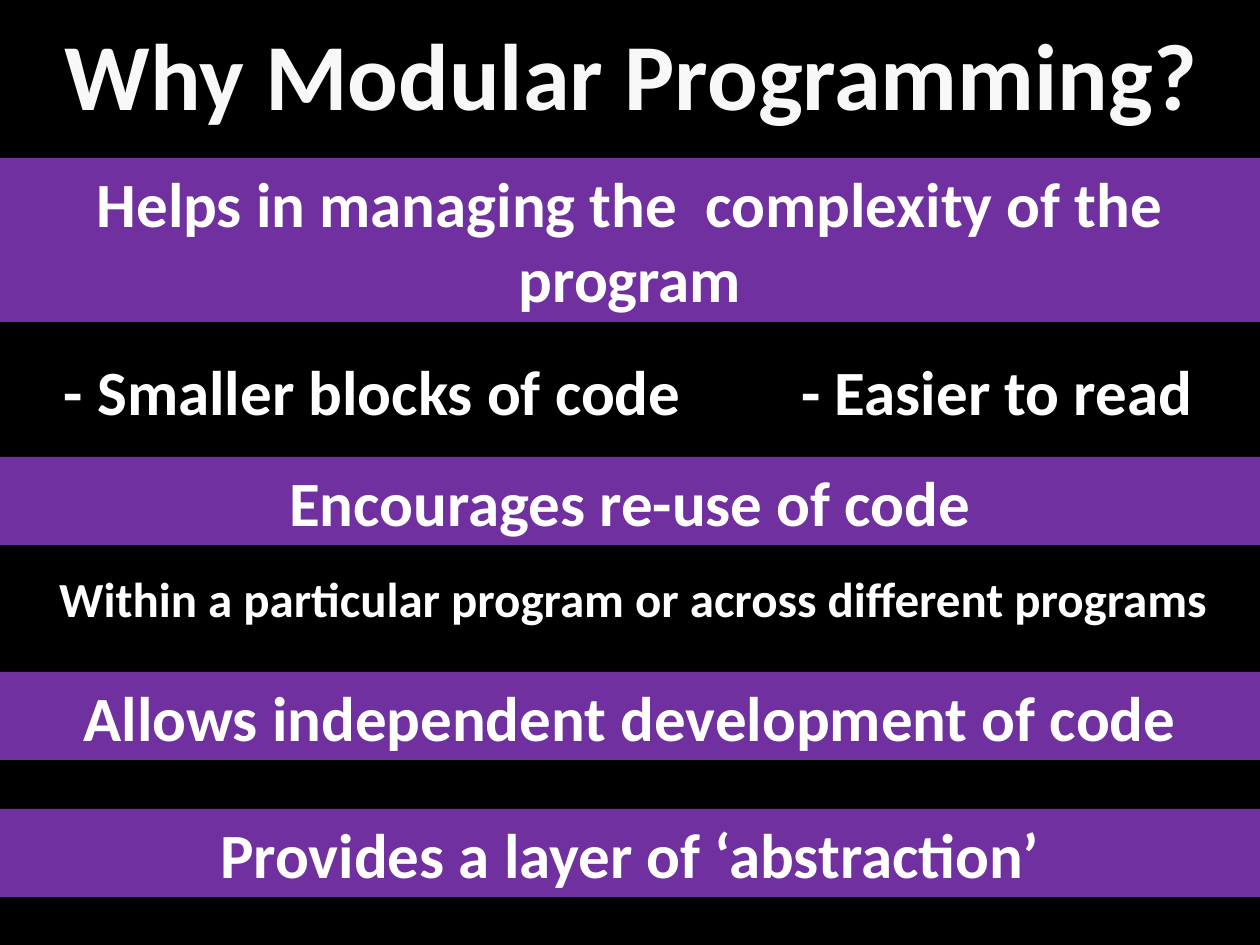
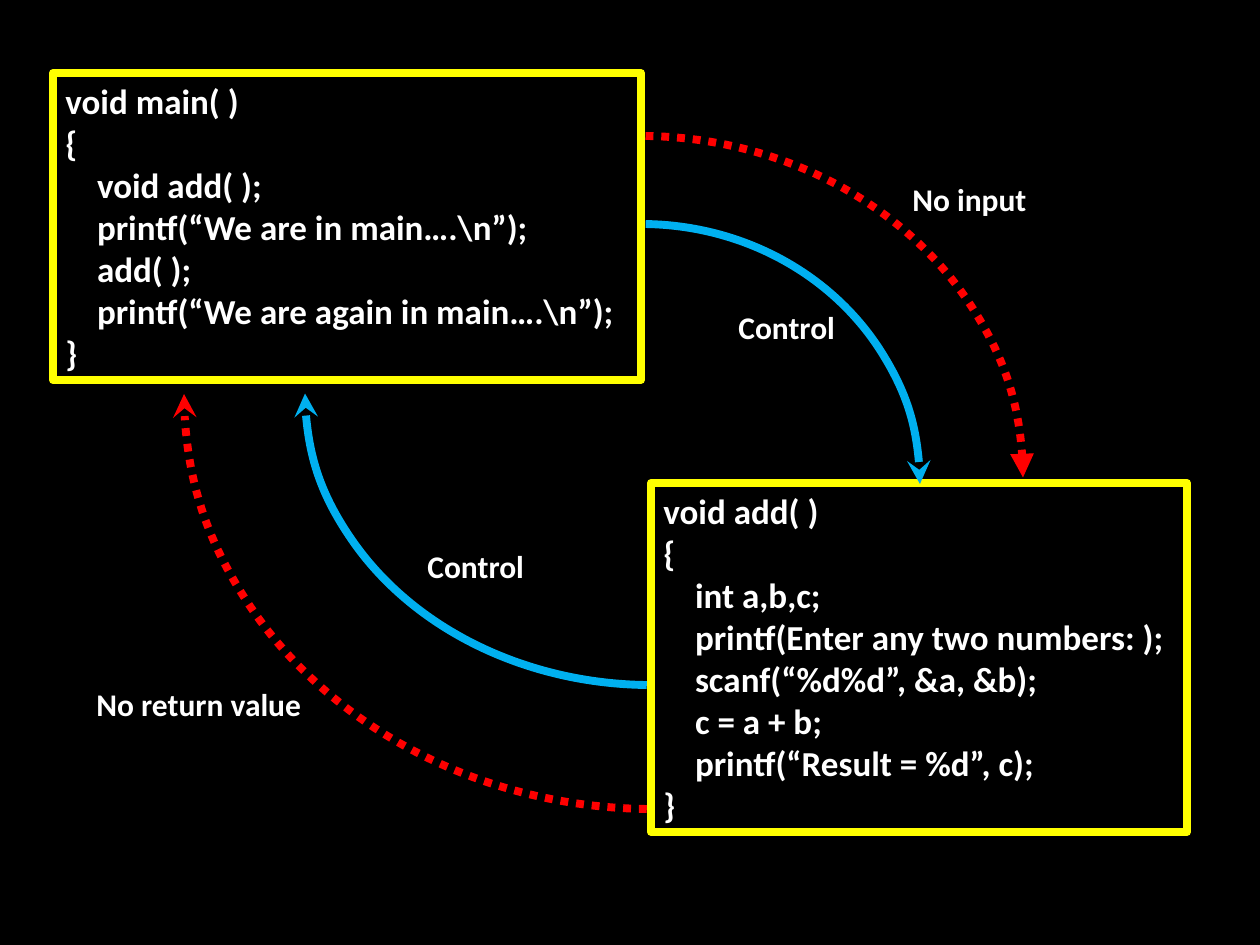
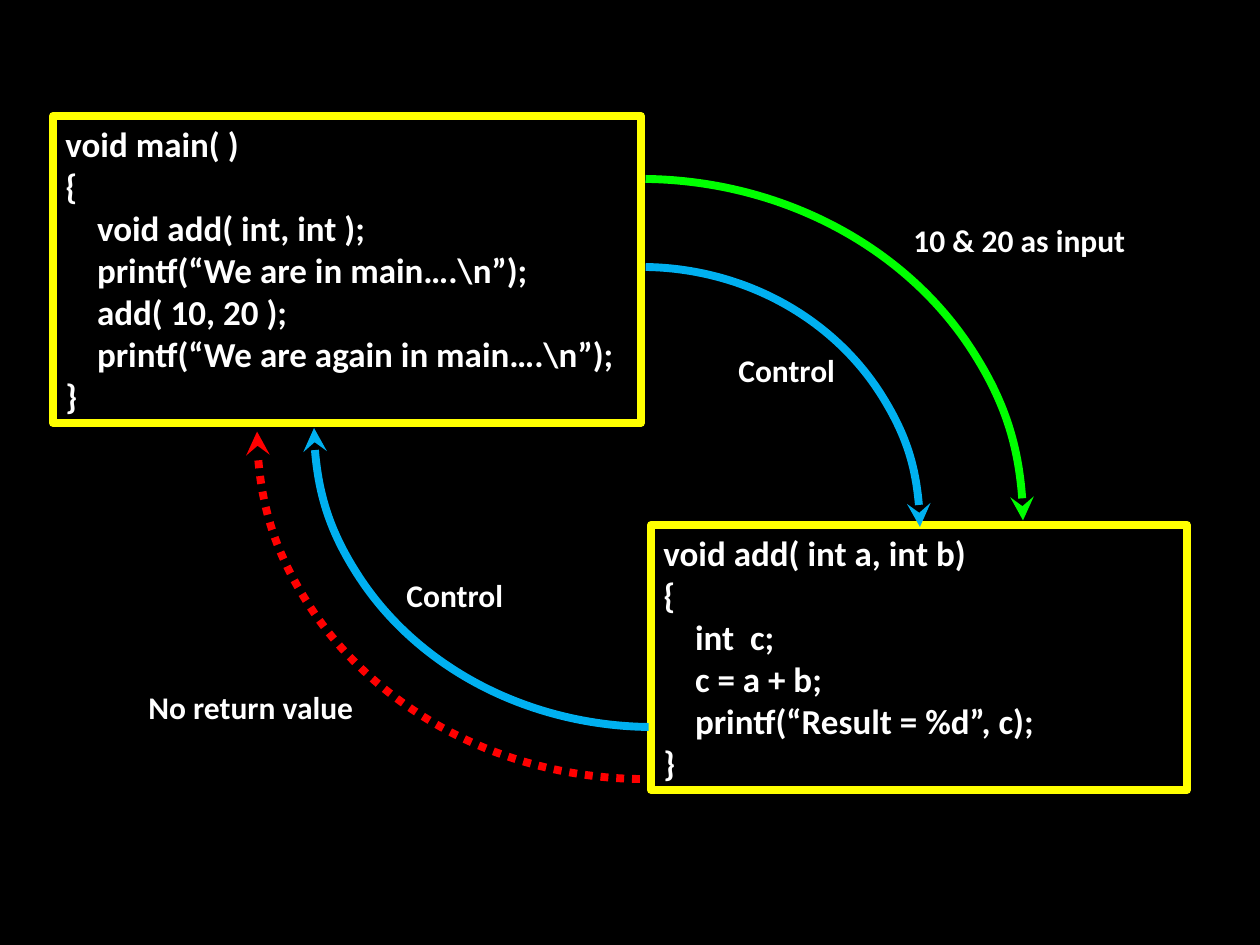
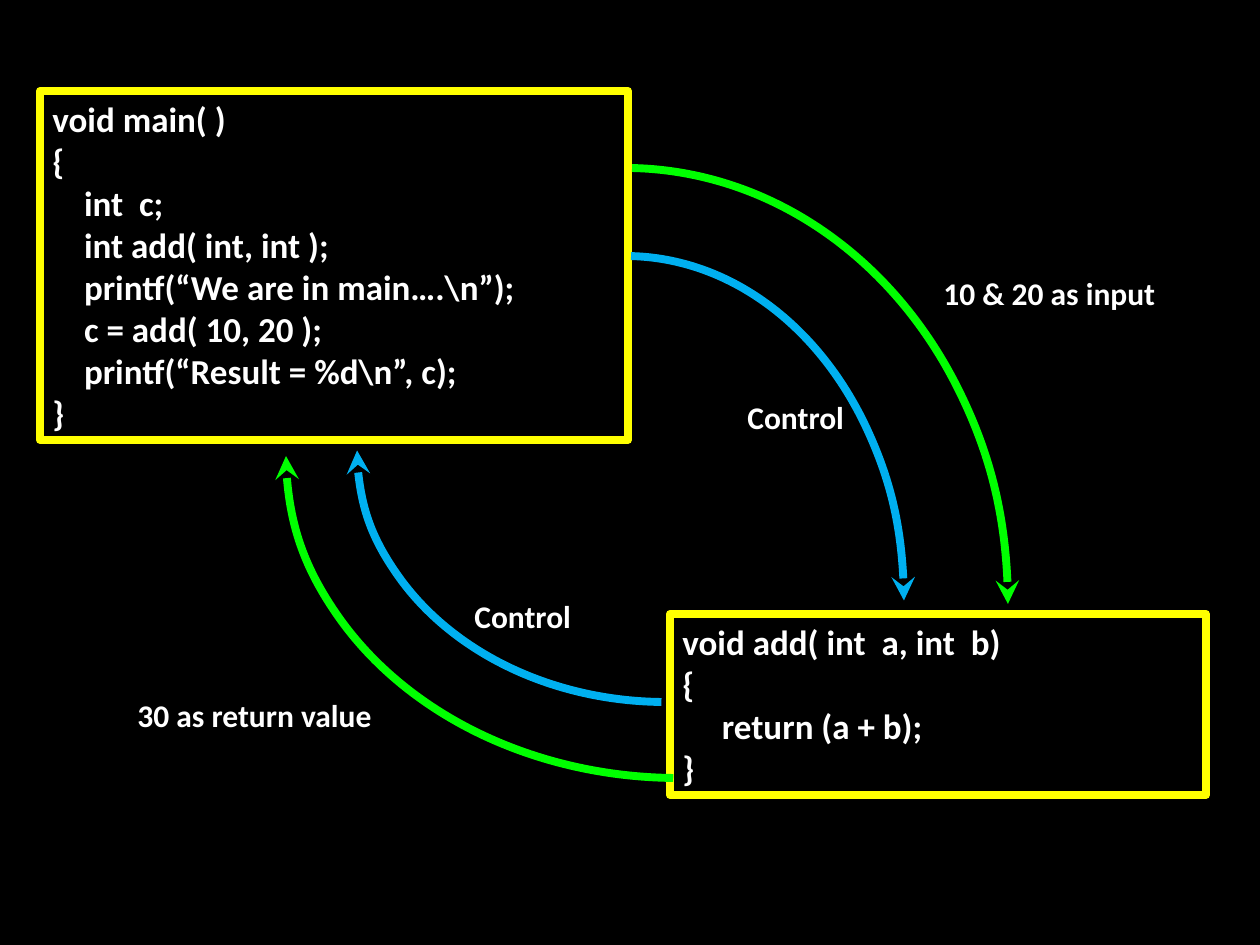
import pptx
import pptx.util
import pptx.dml.color
import pptx.enum.dml
import pptx.enum.shapes
import pptx.enum.text
import pptx.oxml.ns
from lxml import etree

RGB = pptx.dml.color.RGBColor
BLACK = RGB(0x00, 0x00, 0x00)
WHITE = RGB(0xFF, 0xFF, 0xFF)
PALE = RGB(0xF8, 0xF8, 0xF8)
PURPLE = RGB(0x70, 0x30, 0xA0)
YELLOW = RGB(0xFF, 0xFF, 0x00)
RED = RGB(0xFF, 0x00, 0x00)
GREEN = RGB(0x00, 0xFF, 0x00)
BLUE = RGB(0x00, 0xB0, 0xF0)

SHAPE = pptx.enum.shapes.MSO_SHAPE
ALIGN = pptx.enum.text.PP_ALIGN
FONT = "Calibri"
SCALE = pptx.util.Inches(1) / 126
WIDTH, HEIGHT = 1260, 945
TITLE_ONLY, BLANK = 5, 6
STROKE = pptx.util.Pt(4.5)
LINE, PAD = 42, 13      # height of a code line, and of a box around its lines
ROW = 88                # height of a one-line band
LABEL = 50              # height of an arrow label
START = 162.56          # arcs begin just past the top of their ellipse

BANDS = [
    (158, 164, "Helps in managing the  complexity of the program"),
    (457, ROW, "Encourages re-use of code"),
    (672, ROW, "Allows independent development of code"),
    (809, ROW, "Provides a layer of ‘abstraction’"),
]

# Boxes: left, top, lines.
# Arcs: ellipse box, colour, turned back, dotted, arrowhead.
# Labels: left, top, width, text.
FLOWS = [
    {
        "boxes": [
            (53, 73, ["void main( )", "{", "    void add( );",
                      r"    printf(“We are in main….\n”);",
                      "    add( );",
                      r"    printf(“We are again in main….\n”);", "}"]),
            (651, 483, ["void add( )", "{", "    int a,b,c;",
                        "    printf(Enter any two numbers: );",
                        "    scanf(“%d%d”, &a, &b);",
                        "    c = a + b;",
                        "    printf(“Result = %d”, c);", "}"]),
        ],
        "arcs": [
            ((257, 136, 766, 683), RED, False, True, "triangle"),
            ((363, 224, 557, 520), BLUE, False, False, "stealth"),
            ((305, 102, 693, 583), BLUE, True, False, "stealth"),
            ((184, -21, 939, 830), RED, True, True, "stealth"),
        ],
        "labels": [
            (726, 302, 122, "Control"),
            (900, 174, 139, "No input"),
            (415, 541, 122, "Control"),
            (84, 679, 231, "No return value"),
        ],
    },
    {
        "boxes": [
            (53, 116, ["void main( )", "{", "    void add( int, int );",
                       r"    printf(“We are in main….\n”);",
                       "    add( 10, 20 );",
                       r"    printf(“We are again in main….\n”);", "}"]),
            (651, 525, ["void add( int a, int b)", "{", "    int  c;",
                        "    c = a + b;",
                        "    printf(“Result = %d”, c);", "}"]),
        ],
        "arcs": [
            ((257, 179, 766, 683), GREEN, False, False, "stealth"),
            ((363, 267, 557, 520), BLUE, False, False, "stealth"),
            ((314, 129, 679, 598), BLUE, True, False, "stealth"),
            ((257, 84, 777, 695), RED, True, True, "stealth"),
        ],
        "labels": [
            (726, 345, 122, "Control"),
            (901, 215, 237, "10 & 20 as input"),
            (394, 570, 122, "Control"),
            (136, 682, 231, "No return value"),
        ],
    },
    {
        "boxes": [
            (40, 91, ["void main( )", "{", "    int  c;",
                      "    int add( int, int );",
                      r"    printf(“We are in main….\n”);",
                      "    c = add( 10, 20 );",
                      r"    printf(“Result = %d\n”, c);", "}"]),
            (670, 614, ["void add( int  a, int  b)", "{",
                        "     return (a + b);", "}"]),
        ],
        "arcs": [
            ((242, 168, 766, 872), GREEN, False, False, "stealth"),
            ((347, 256, 557, 689), BLUE, False, False, "stealth"),
            ((357, 199, 617, 503), BLUE, True, False, "stealth"),
            ((286, 134, 785, 644), GREEN, True, False, "stealth"),
        ],
        "labels": [
            (735, 392, 122, "Control"),
            (931, 268, 237, "10 & 20 as input"),
            (462, 591, 122, "Control"),
            (125, 690, 261, "30 as return value"),
        ],
    },
]


def emu(*sizes):
    return [round(size * SCALE) for size in sizes]


def write(shape, text, size, align=ALIGN.LEFT, color=WHITE, wrap=True):
    frame = shape.text_frame
    frame.text = text
    frame.word_wrap = wrap
    frame.auto_size = pptx.enum.text.MSO_AUTO_SIZE.SHAPE_TO_FIT_TEXT
    frame.vertical_anchor = pptx.enum.text.MSO_ANCHOR.TOP
    for para in frame.paragraphs:
        para.alignment = align
        font = para.font
        font.name, font.size, font.bold = FONT, pptx.util.Pt(size), True
        font.color.rgb = color


def add_shape(slide, kind, box, fill=None, line=None):
    shape = slide.shapes.add_shape(kind, *emu(*box))
    shape.shadow.inherit = False
    if fill is None:
        shape.fill.background()
    else:
        shape.fill.solid()
        shape.fill.fore_color.rgb = fill
    if line is None:
        shape.line.fill.background()
    else:
        shape.line.color.rgb = line
        shape.line.width = STROKE
    return shape


def add_text(slide, box, text, size, align=ALIGN.LEFT, wrap=False):
    shape = slide.shapes.add_textbox(*emu(*box))
    write(shape, text, size, align, wrap=wrap)


def add_title(slide, box, text):
    title = slide.shapes.title
    title.left, title.top, title.width, title.height = emu(*box)
    write(title, text, 54, color=PALE, wrap=False)


def add_band(slide, top, height, text):
    band = add_shape(slide, SHAPE.RECTANGLE, (0, top, WIDTH, height), PURPLE)
    write(band, text, 36, ALIGN.CENTER)


def add_code(slide, left, top, width, lines):
    box = (left, top, width, LINE * len(lines) + PAD)
    code = add_shape(slide, SHAPE.RECTANGLE, box, line=YELLOW)
    write(code, "\n".join(lines), 20)


def add_arc(slide, box, color, back, dotted, head):
    """Draw a quarter of the ellipse in box, ending in an arrowhead."""
    arc = add_shape(slide, SHAPE.ARC, box, line=color)
    arc.adjustments[0] = START
    if back:
        arc.rotation = 180
    if dotted:
        arc.line.dash_style = pptx.enum.dml.MSO_LINE.ROUND_DOT
    stroke = arc.get_or_add_ln()
    etree.SubElement(stroke, pptx.oxml.ns.qn("a:tailEnd"), type=head)


def build_why(deck):
    slide = deck.slides.add_slide(deck.slide_layouts[TITLE_ONLY])
    add_title(slide, (52, 10, 1163, 126), "Why Modular Programming?")
    for band in BANDS:
        add_band(slide, *band)
    add_text(slide, (21, 346, 703, ROW), "- Smaller blocks of code", 36,
             ALIGN.CENTER, True)
    add_text(slide, (789, 346, 418, ROW), "- Easier to read", 36)
    add_text(slide, (16, 562, 1234, 72),
             "Within a particular program or across different programs", 28,
             ALIGN.CENTER, True)


def build_flow(deck, flow):
    slide = deck.slides.add_slide(deck.slide_layouts[BLANK])
    for (left, top, lines), width in zip(flow["boxes"], (588, 536)):
        add_code(slide, left, top, width, lines)
    for arc in flow["arcs"]:
        add_arc(slide, *arc)
    for left, top, width, text in flow["labels"]:
        add_text(slide, (left, top, width, LABEL), text, 18)


def main():
    deck = pptx.Presentation()
    deck.slide_width, deck.slide_height = emu(WIDTH, HEIGHT)
    back = deck.slide_master.background.fill
    back.solid()
    back.fore_color.rgb = BLACK
    build_why(deck)
    for flow in FLOWS:
        build_flow(deck, flow)
    deck.save("out.pptx")


if __name__ == "__main__":
    main()
